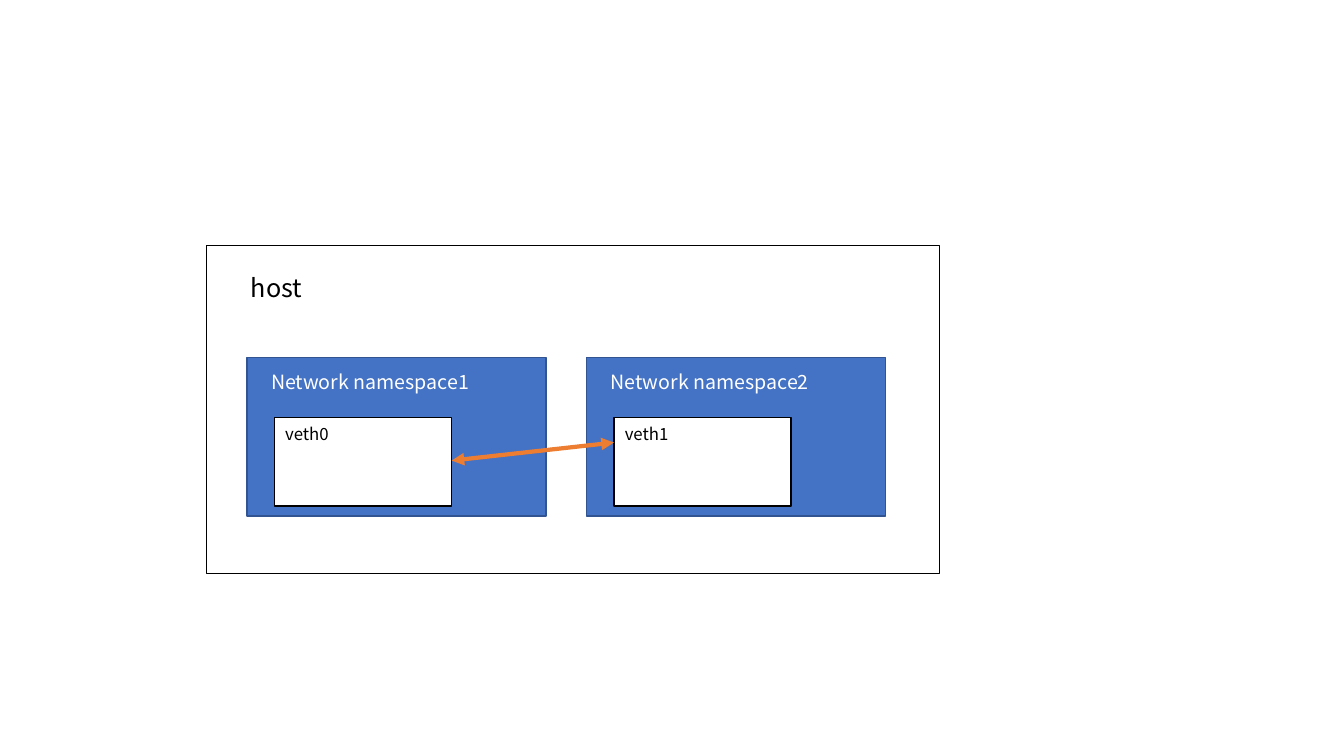
import dataclasses

import lxml.etree
import pptx
import pptx.dml.color
import pptx.enum.shapes
import pptx.enum.text
import pptx.oxml.ns
import pptx.shapes.shapetree
import pptx.util

Pt = pptx.util.Pt
FONT = "Noto Sans CJK SC"
BLACK, WHITE = "000000", "FFFFFF"
BLUE, NAVY, ORANGE = "4472C4", "325491", "ED7D31"
STEP = 242.6  # distance between the two namespaces


@dataclasses.dataclass
class Box:
    left: float
    top: float
    width: float
    height: float
    fill: str = WHITE
    line: str = BLACK


@dataclasses.dataclass
class Label:
    text: str
    left: float
    top: float
    width: float
    height: float
    size: float
    color: str = BLACK


def rgb(code: str) -> pptx.dml.color.RGBColor:
    return pptx.dml.color.RGBColor.from_string(code)


def draw_box(shapes: pptx.shapes.shapetree.SlideShapes, box: Box) -> None:
    shape = shapes.add_shape(
        pptx.enum.shapes.MSO_SHAPE.RECTANGLE,
        Pt(box.left), Pt(box.top), Pt(box.width), Pt(box.height))
    shape.shadow.inherit = False
    shape.fill.solid()
    shape.fill.fore_color.rgb = rgb(box.fill)
    shape.line.color.rgb = rgb(box.line)
    shape.line.width = Pt(1)


def draw_label(shapes: pptx.shapes.shapetree.SlideShapes, label: Label) -> None:
    frame = shapes.add_textbox(
        Pt(label.left), Pt(label.top), Pt(label.width), Pt(label.height)).text_frame
    frame.word_wrap = True
    frame.auto_size = pptx.enum.text.MSO_AUTO_SIZE.SHAPE_TO_FIT_TEXT
    frame.text = label.text
    font = frame.paragraphs[0].font
    font.name = FONT
    font.size = Pt(label.size)
    font.color.rgb = rgb(label.color)


def draw_link(shapes: pptx.shapes.shapetree.SlideShapes,
              x1: float, y1: float, x2: float, y2: float) -> None:
    """Draw a line with an arrowhead at each end."""
    link = shapes.add_connector(
        pptx.enum.shapes.MSO_CONNECTOR.STRAIGHT, Pt(x1), Pt(y1), Pt(x2), Pt(y2))
    link.line.color.rgb = rgb(ORANGE)
    link.line.width = Pt(3)
    qn = pptx.oxml.ns.qn
    props = link.element.spPr
    for end in ("a:headEnd", "a:tailEnd"):
        lxml.etree.SubElement(props.find(qn("a:ln")), qn(end), type="triangle")
    lxml.etree.SubElement(props, qn("a:effectLst"))


def main() -> None:
    deck = pptx.Presentation()
    deck.slide_width, deck.slide_height = Pt(960), Pt(540)
    shapes = deck.slides.add_slide(deck.slide_layouts[6]).shapes

    draw_box(shapes, Box(147.6, 175.2, 523.4, 234.6))
    draw_label(shapes, Label("host", 172.1, 190.8, 57.6, 28.8, 18))

    for i in range(2):
        shift = i * STEP
        draw_box(shapes, Box(176.4 + shift, 255.6, 213.8, 113, BLUE, NAVY))
        draw_box(shapes, Box(195.9 + shift, 298.1, 126.7, 63.4))
        draw_label(shapes, Label(f"Network namespace{i + 1}",
                                 186.5 + shift, 260.6, 157, 24.5, 14, WHITE))
        draw_label(shapes, Label(f"veth{i}", 196.6 + shift, 298.8, 103.7, 21.6, 12))

    draw_link(shapes, 322.6, 329, 438.5, 316.1)
    deck.save("out.pptx")


if __name__ == "__main__":
    main()
